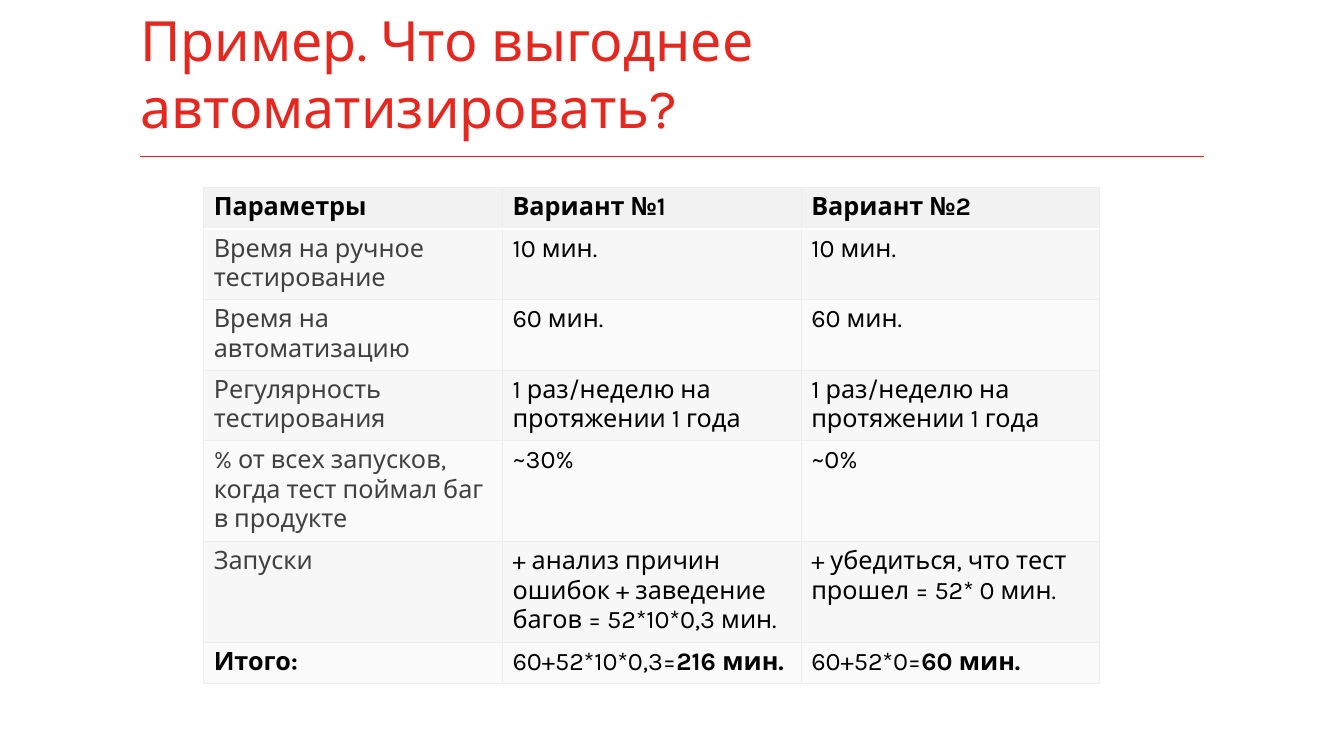
from lxml.etree import SubElement
from pptx import Presentation
from pptx.dml.color import RGBColor
from pptx.enum.shapes import MSO_CONNECTOR
from pptx.enum.text import MSO_ANCHOR
from pptx.oxml.ns import qn
from pptx.util import Inches, Pt

FONT = "Karla"
TITLE = "Пример. Что выгоднее автоматизировать?"
HEADER = ["Параметры", "Вариант №1", "Вариант №2"]
COMPARISON = [
    ["Время на ручное тестирование", "10 мин.", "10 мин."],
    ["Время на автоматизацию", "60 мин.", "60 мин."],
    ["Регулярность тестирования"] + ["1 раз/неделю на протяжении 1 года"] * 2,
    ["% от всех запусков, когда тест поймал баг в продукте", "~30%", "~0%"],
    ["Запуски", "+ анализ причин ошибок + заведение багов = 52*10*0,3 мин.",
     "+ убедиться, что тест прошел = 52* 0 мин."],
]
TOTALS = [("", "Итого:"), ("60+52*10*0,3=", "216 мин."), ("60+52*0=", "60 мин.")]
ROW_HEIGHTS = [0.41, 0.69, 0.69, 0.69, 0.98, 0.98, 0.41]


def color(value):
    """Return the colour for a hex string."""
    return RGBColor.from_string(value)


def write(paragraph, text, size=18, fill="000000", bold=False):
    """Add a formatted run to a paragraph."""
    run = paragraph.add_run()
    run.text = text
    run.font.name = FONT
    run.font.size = Pt(size)
    run.font.bold = bold
    run.font.color.rgb = color(fill)


def add_border(cell, side, fill="EDEDED", width=0.75):
    """Draw one border of a table cell."""
    properties = cell._tc.get_or_add_tcPr()
    line = SubElement(properties, qn(f"a:ln{side}"), w=str(Pt(width)))
    SubElement(SubElement(line, qn("a:solidFill")), qn("a:srgbClr"), val=fill)


def format_cell(cell, row):
    """Set the borders and fill that belong to a cell's row."""
    white_rule = {"fill": "FFFFFF", "width": 2}
    add_border(cell, "L")
    add_border(cell, "R")
    add_border(cell, "T", **(white_rule if row == 1 else {}))
    add_border(cell, "B", **(white_rule if row == 0 else {}))
    cell.fill.solid()
    band = "F7F7F7" if row % 2 else "FAFAFA"
    cell.fill.fore_color.rgb = color("F2F2F2" if row == 0 else band)


def add_title(slide, left, top, width, height):
    """Place the title and the red rule under it."""
    box = slide.shapes.add_textbox(Inches(left), Inches(top), Inches(width), Inches(height))
    frame = box.text_frame
    frame.word_wrap = True
    frame.vertical_anchor = MSO_ANCHOR.BOTTOM
    frame.margin_left = frame.margin_right = 0
    frame.margin_top, frame.margin_bottom = Inches(0.05), Inches(0.16)
    write(frame.paragraphs[0], TITLE, size=39.6, fill="E5281F")
    bottom = Inches(top + height + 0.01)
    rule = slide.shapes.add_connector(
        MSO_CONNECTOR.STRAIGHT, Inches(left), bottom, Inches(left + width), bottom)
    rule.line.color.rgb = color("E52319")
    rule.line.width = Pt(0.75)
    SubElement(rule._element.spPr, qn("a:effectLst"))


def add_comparison(slide, left, top, width):
    """Place the table that compares the two options."""
    rows = [[[(text, "000000", True)] for text in HEADER]]
    for label, *values in COMPARISON:
        rows.append([[(label, "404040", False)]] + [[(text, "000000", False)] for text in values])
    rows.append([[(sum_text, "000000", False), (result, "000000", True)]
                 for sum_text, result in TOTALS])
    table = slide.shapes.add_table(
        len(rows), len(HEADER), Inches(left), Inches(top),
        Inches(width), Inches(sum(ROW_HEIGHTS))).table
    for table_row, height in zip(table.rows, ROW_HEIGHTS):
        table_row.height = Inches(height)
    for row, contents in enumerate(rows):
        for column, runs in enumerate(contents):
            cell = table.cell(row, column)
            format_cell(cell, row)
            for text, fill, bold in runs:
                if text:
                    write(cell.text_frame.paragraphs[0], text, fill=fill, bold=bold)


def main():
    """Build and save the presentation."""
    presentation = Presentation()
    presentation.slide_width, presentation.slide_height = Inches(13.33), Inches(7.5)
    slide = presentation.slides.add_slide(presentation.slide_layouts[6])
    add_title(slide, 1.39, 0.36, 10.55, 1.18)
    add_comparison(slide, 2.02, 1.86, 8.89)
    presentation.save("out.pptx")


if __name__ == "__main__":
    main()
